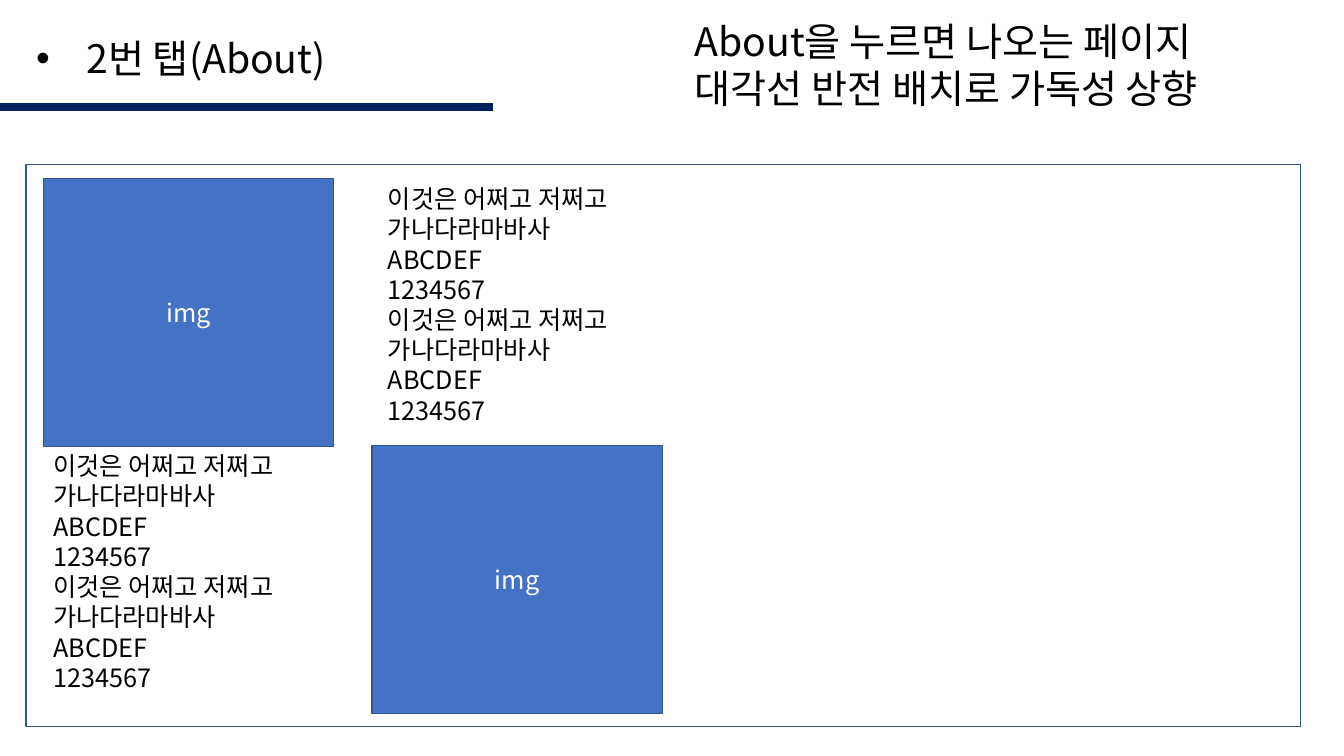
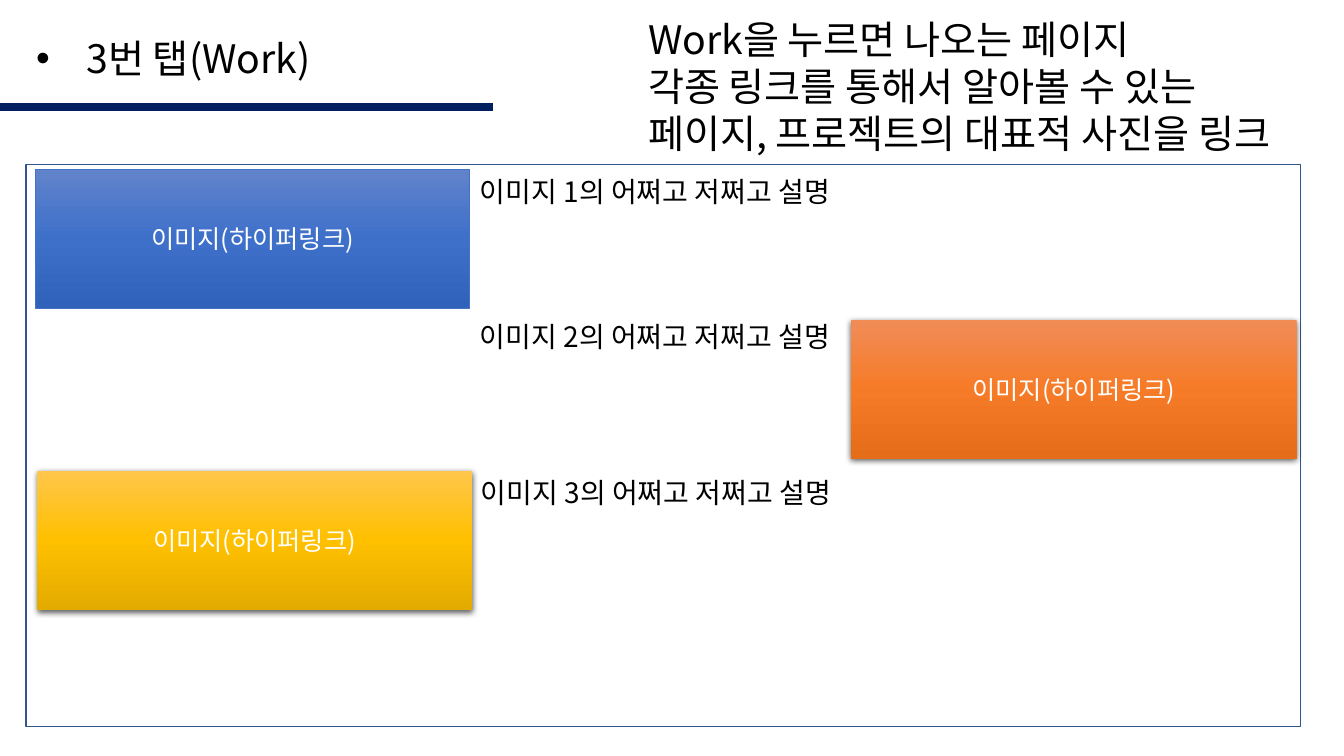
from lxml.etree import SubElement
from pptx import Presentation
from pptx.dml.color import RGBColor
from pptx.enum.shapes import MSO_CONNECTOR, MSO_SHAPE
from pptx.enum.text import MSO_ANCHOR, PP_ALIGN
from pptx.oxml.ns import qn
from pptx.util import Inches, Pt

FONT = "Noto Sans CJK KR"
BLACK, WHITE = "000000", "FFFFFF"
NAVY, BLUE, BORDER = "002060", "4472C4", "325491"
BLUE_GRADIENT = ("6183CB", "3E70CA", "3062BB")
ORANGE_GRADIENT = ("F18C57", "F67B28", "E56C19")
GOLD_GRADIENT = ("FFC64B", "FFC000", "E3AB00")

SAMPLE_LINES = ["이것은 어쩌고 저쩌고", "가나다라마바사", "ABCDEF", "1234567"] * 2


def color(hex_string):
    return RGBColor.from_string(hex_string)


def add_element(parent, tag, **attributes):
    element = SubElement(parent, qn(tag))
    for name, value in attributes.items():
        element.set(name, str(value))
    return element


class Deck:
    def __init__(self):
        self.presentation = Presentation()
        self.presentation.slide_width = Inches(13.33)
        self.presentation.slide_height = Inches(7.5)
        self.slide = None

    def add_page(self, title, note_lines, note_box):
        """Start a slide with its title, rule, note and content frame."""
        layout = self.presentation.slide_layouts[6]
        self.slide = self.presentation.slides.add_slide(layout)
        self.add_rule()
        self.add_text([title], (0.26, 0.29, 4.1, 0.57), 28, bullet=True)
        self.add_text(note_lines, note_box, 28)
        self.add_box((0.26, 1.63, 12.64, 5.58), WHITE, BORDER, 1)

    def add_rule(self):
        rule = self.slide.shapes.add_connector(
            MSO_CONNECTOR.STRAIGHT, 0, Inches(1.06), Inches(4.89), Inches(1.06))
        rule.line.color.rgb = color(NAVY)
        rule.line.width = Pt(6)
        add_element(rule._element.spPr, "a:effectLst")

    def add_text(self, lines, box, size, bullet=False):
        shape = self.slide.shapes.add_textbox(*map(Inches, box))
        shape.text_frame.word_wrap = True
        self.add_lines(shape.text_frame, lines, size, BLACK, bullet=bullet)

    def add_box(self, box, fill, line=None, line_width=1, label=None, shadow=False):
        """Draw a rectangle; fill is one colour or a tuple of gradient colours."""
        shape = self.slide.shapes.add_shape(MSO_SHAPE.RECTANGLE, *map(Inches, box))
        shape.shadow.inherit = False
        if isinstance(fill, tuple):
            self.fill_gradient(shape, fill)
        else:
            shape.fill.solid()
            shape.fill.fore_color.rgb = color(fill)
        if line:
            shape.line.color.rgb = color(line)
            shape.line.width = Pt(line_width)
        else:
            shape.line.fill.background()
        if shadow:
            self.cast_shadow(shape)
        if label:
            shape.text_frame.vertical_anchor = MSO_ANCHOR.MIDDLE
            self.add_lines(shape.text_frame, [label], 18, WHITE, PP_ALIGN.CENTER)

    def add_lines(self, frame, lines, size, text_color, align=PP_ALIGN.LEFT, bullet=False):
        for index, line in enumerate(lines):
            paragraph = frame.paragraphs[0] if index == 0 else frame.add_paragraph()
            paragraph.alignment = align
            if bullet:
                properties = paragraph._p.get_or_add_pPr()
                properties.set("marL", str(Inches(0.5)))
                properties.set("indent", str(-Inches(0.5)))
                add_element(properties, "a:buFont", typeface="Arial")
                add_element(properties, "a:buChar", char="•")
            run = paragraph.add_run()
            run.text = line
            run.font.size = Pt(size)
            run.font.name = FONT
            run.font.color.rgb = color(text_color)
            add_element(run._r.get_or_add_rPr(), "a:ea", typeface=FONT)

    def fill_gradient(self, shape, stops):
        """Fill from top to bottom with evenly spaced colours."""
        shape.fill.gradient()
        gradient = shape._element.spPr.find(qn("a:gradFill"))
        for child in list(gradient):
            gradient.remove(child)
        stop_list = add_element(gradient, "a:gsLst")
        for index, stop_color in enumerate(stops):
            position = 100000 * index // (len(stops) - 1)
            stop = add_element(stop_list, "a:gs", pos=position)
            add_element(stop, "a:srgbClr", val=stop_color)
        add_element(gradient, "a:lin", ang=90 * 60000, scaled=0)

    def cast_shadow(self, shape):
        effects = shape._element.spPr.find(qn("a:effectLst"))
        shadow = add_element(effects, "a:outerShdw", blurRad=Pt(4.5), dist=Pt(1.5),
                             dir=90 * 60000, algn="ctr", rotWithShape=0)
        shadow_color = add_element(shadow, "a:srgbClr", val=BLACK)
        add_element(shadow_color, "a:alpha", val=63000)


def build_about(deck):
    deck.add_page("2번 탭(About)",
                  ["About을 누르면 나오는 페이지", "대각선 반전 배치로 가독성 상향"],
                  (6.79, 0.12, 6.28, 1.04))
    for left, top in ((0.43, 1.77), (3.69, 4.42)):
        deck.add_box((left, top, 2.88, 2.66), BLUE, BORDER, 1, "img")
    for box in ((3.75, 1.77, 8.83, 2.83), (0.43, 4.42, 3.26, 2.83)):
        deck.add_text(SAMPLE_LINES, box, 18)


def build_work(deck):
    deck.add_page("3번 탭(Work)",
                  ["Work을 누르면 나오는 페이지", "각종 링크를 통해서 알아볼 수 있는",
                   "페이지, 프로젝트의 대표적 사진을 링크"],
                  (6.33, 0.1, 6.74, 1.51))
    label = "이미지(하이퍼링크)"
    deck.add_box((0.35, 1.68, 4.31, 1.38), BLUE_GRADIENT, BLUE, 0.5, label)
    deck.add_box((8.44, 3.17, 4.42, 1.38), ORANGE_GRADIENT, label=label, shadow=True)
    deck.add_box((0.37, 4.67, 4.31, 1.38), GOLD_GRADIENT, label=label, shadow=True)
    for number, (left, top) in enumerate(((4.66, 1.68), (4.66, 3.12), (4.67, 4.67)), 1):
        deck.add_text([f"이미지 {number}의 어쩌고 저쩌고 설명"], (left, top, 6.74, 0.44), 20)


def main():
    deck = Deck()
    build_about(deck)
    build_work(deck)
    deck.presentation.save("out.pptx")


if __name__ == "__main__":
    main()
